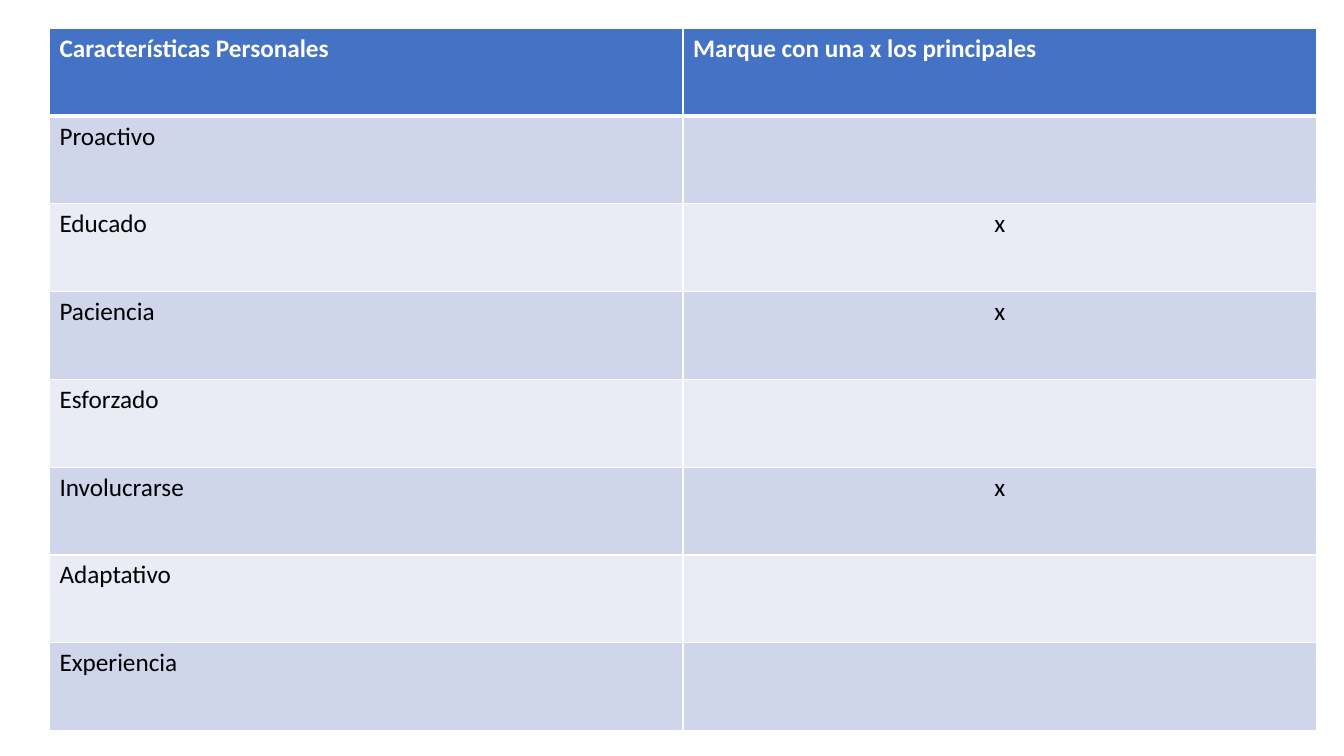
from dataclasses import dataclass

from lxml import etree
from pptx import Presentation
from pptx.dml.color import RGBColor
from pptx.enum.text import PP_ALIGN
from pptx.oxml.ns import qn
from pptx.util import Inches, Pt

LEFT = PP_ALIGN.LEFT
CENTER = PP_ALIGN.CENTER
BLANK_LAYOUT = 6

HEADINGS = ("Características Personales", "Marque con una x los principales")
TRAITS = (
    ("Proactivo", ""),
    ("Educado", "x"),
    ("Paciencia", "x"),
    ("Esforzado", ""),
    ("Involucrarse", "x"),
    ("Adaptativo", ""),
    ("Experiencia", ""),
)


@dataclass(frozen=True)
class Theme:
    """Colours, font and sizes of the deck."""

    font: str = "Calibri"
    text_size: int = 18
    header_fill: str = "4472C4"
    header_text: str = "FFFFFF"
    band_fills: tuple = ("CFD5EA", "E9EBF5")
    body_text: str = "000000"
    border: str = "FFFFFF"
    thin: int = 1
    thick: int = 3


class SlideBuilder:
    """Draws elements on one slide in a shared style."""

    def __init__(self, deck, theme):
        self.deck = deck
        self.theme = theme
        self.page = deck.slides.add_slide(deck.slide_layouts[BLANK_LAYOUT])

    def table(self, rows, left, top, width, height):
        """Add a banded table placed by shares of the slide's size."""
        deck_width, deck_height = self.deck.slide_width, self.deck.slide_height
        frame = self.page.shapes.add_table(
            len(rows), len(rows[0]),
            int(left * deck_width), int(top * deck_height),
            int(width * deck_width), int(height * deck_height),
        )
        for row_index, row in enumerate(rows):
            for column_index, text in enumerate(row):
                cell = frame.table.cell(row_index, column_index)
                self.borders(cell, row_index)
                self.fill(cell, row_index)
                if text:
                    centred = row_index > 0 and column_index > 0
                    self.text(cell, text, row_index == 0, CENTER if centred else LEFT)

    def borders(self, cell, row_index):
        """Outline a cell, with a thick rule under the header row."""
        theme = self.theme
        widths = {
            "a:lnL": theme.thin,
            "a:lnR": theme.thin,
            "a:lnT": theme.thick if row_index == 1 else theme.thin,
            "a:lnB": theme.thick if row_index == 0 else theme.thin,
        }
        properties = cell._tc.get_or_add_tcPr()
        for tag, points in widths.items():
            line = etree.SubElement(properties, qn(tag), w=str(Pt(points)))
            solid = etree.SubElement(line, qn("a:solidFill"))
            etree.SubElement(solid, qn("a:srgbClr"), val=theme.border)

    def fill(self, cell, row_index):
        """Fill a cell with the header colour or its band."""
        bands = self.theme.band_fills
        colour = bands[(row_index - 1) % len(bands)] if row_index else self.theme.header_fill
        cell.fill.solid()
        cell.fill.fore_color.rgb = RGBColor.from_string(colour)

    def text(self, cell, text, is_header, alignment):
        """Write and format the text of a cell."""
        theme = self.theme
        cell.text_frame.text = text
        para = cell.text_frame.paragraphs[0]
        para.alignment = alignment
        font = para.runs[0].font
        font.name = theme.font
        font.size = Pt(theme.text_size)
        font.bold = is_header
        font.color.rgb = RGBColor.from_string(theme.header_text if is_header else theme.body_text)


def main():
    """Build the deck and save it."""
    deck = Presentation()
    deck.slide_width, deck.slide_height = Inches(13.33), Inches(7.5)
    builder = SlideBuilder(deck, Theme())
    builder.table(
        (HEADINGS, *TRAITS),
        left=0.49 / 13.33, top=0.28 / 7.5, width=12.57 / 13.33, height=6.97 / 7.5,
    )
    deck.save("out.pptx")


if __name__ == "__main__":
    main()
